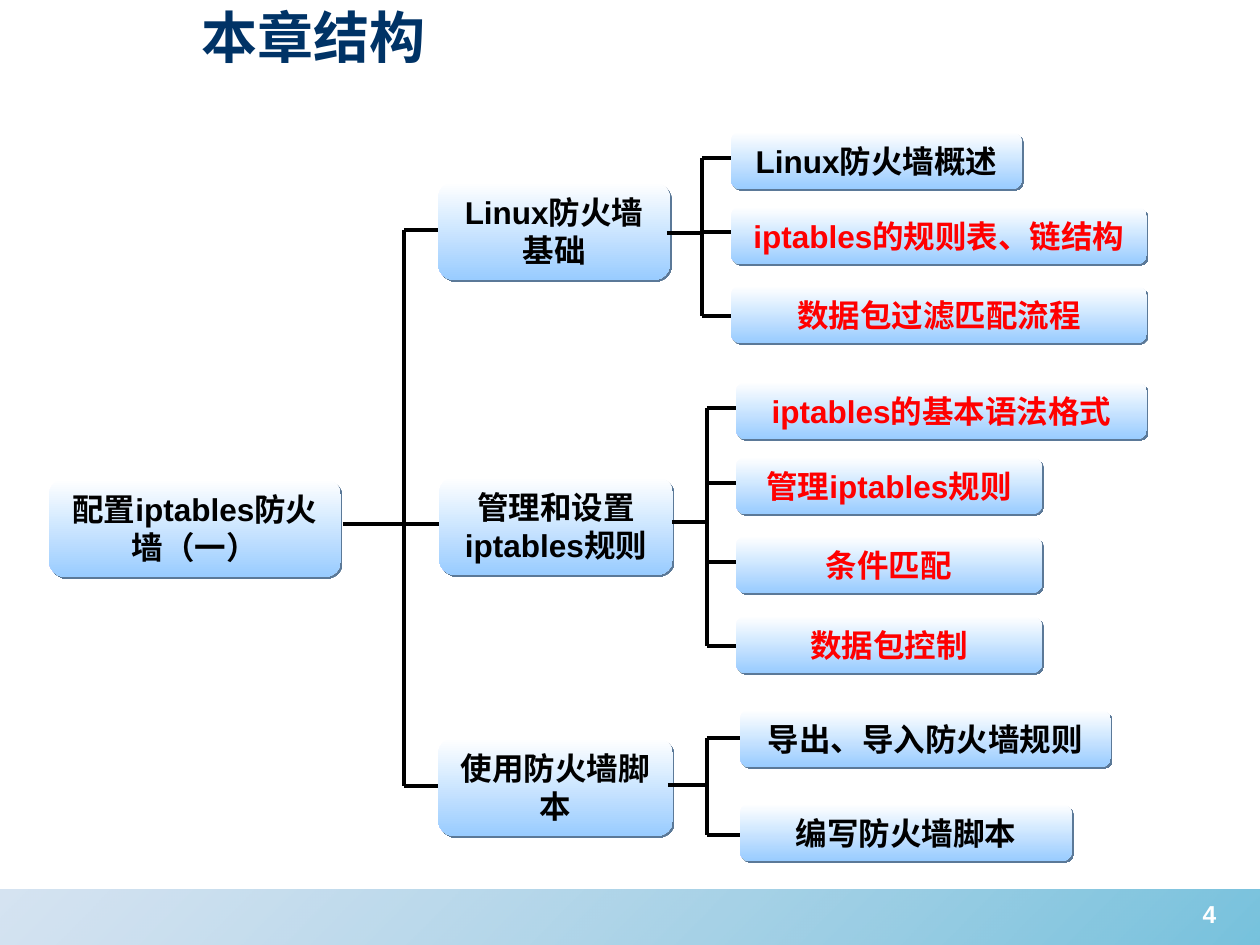
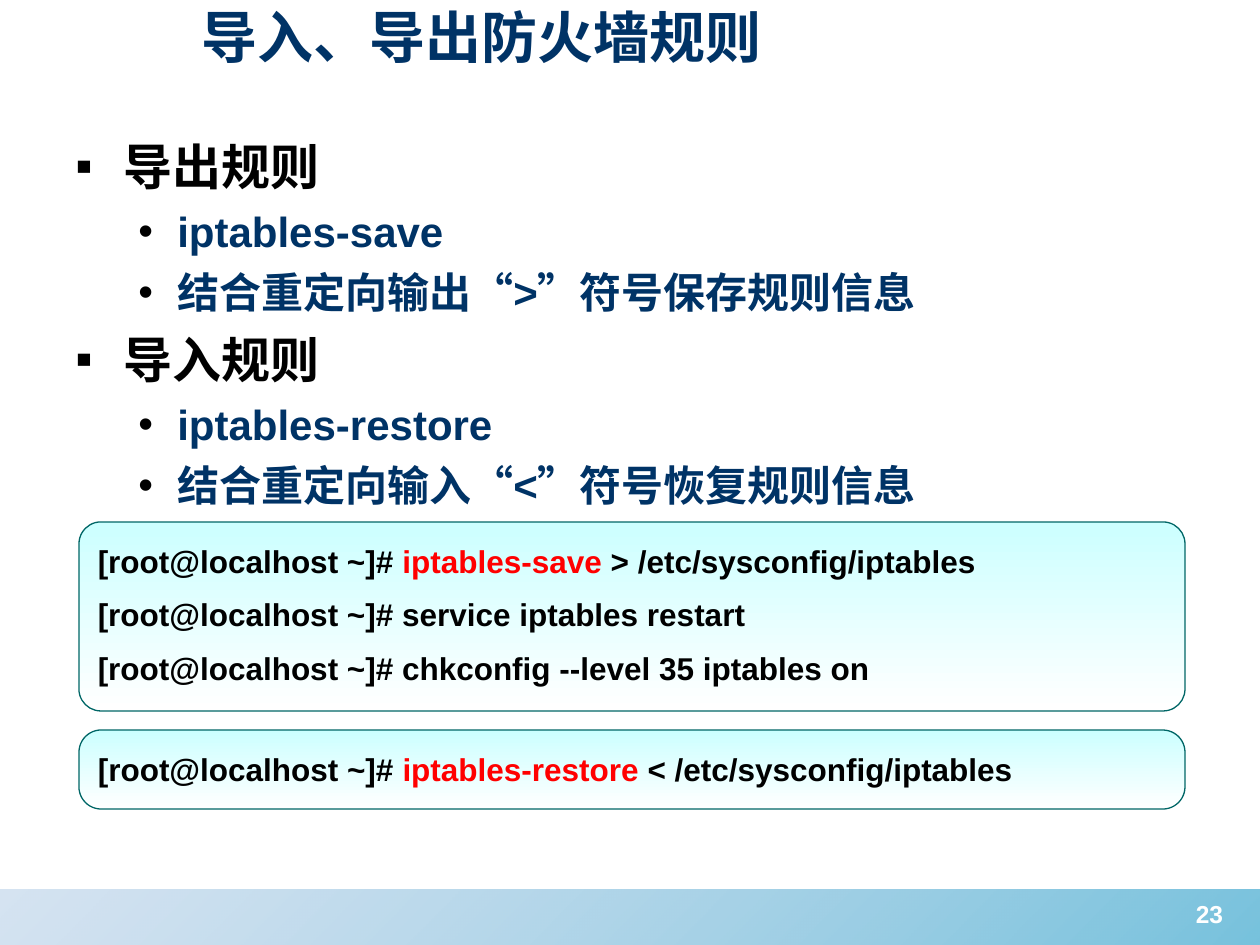
"""Build two slides about configuring a firewall with iptables."""
from lxml.etree import SubElement
from pptx import Presentation
from pptx.dml.color import RGBColor
from pptx.enum.shapes import MSO_CONNECTOR as CONNECTOR, MSO_SHAPE as SHAPE
from pptx.enum.text import MSO_ANCHOR as ANCHOR, PP_ALIGN as ALIGN
from pptx.oxml.ns import qn
from pptx.util import Pt

PX = 914400 / 126
FONT = "Arial"
COLORS = {
    "black": "000000", "white": "FFFFFF", "red": "FF0000", "navy": "003366",
    "sky": "99CCFF", "slate": "5B7998", "aqua": "CCFFFF", "teal": "006666",
    "band_right": "1C99C6", "band_left": "88B0D8",
}

STRUCTURE = {
    "title": "本章结构",
    "page": "4",
    "root": ("配置iptables防火墙（一）", (49, 479, 292, 98)),
    "trunk": {"stem": (343, 524), "spine": 404, "end": 440},
    "branches": [
        {"text": "Linux防火墙基础", "box": (438, 182, 232, 98), "tick": 230,
         "stem": (667, 233), "spine": 702, "leaf_left": 731,
         "leaves": [("Linux防火墙概述", "black", 132, 291, 158),
                    ("iptables的规则表、链结构", "red", 207, 416, 232),
                    ("数据包过滤匹配流程", "red", 286, 416, 316)]},
        {"text": "管理和设置iptables规则", "box": (439, 477, 234, 98), "tick": 524,
         "stem": (672, 522), "spine": 707, "leaf_left": 736,
         "leaves": [("iptables的基本语法格式", "red", 382, 411, 408),
                    ("管理iptables规则", "red", 457, 306, 483),
                    ("条件匹配", "red", 536, 306, 562),
                    ("数据包控制", "red", 616, 306, 646)]},
        {"text": "使用防火墙脚本", "box": (438, 738, 235, 98), "tick": 786,
         "stem": (668, 785), "spine": 707, "leaf_left": 740,
         "leaves": [("导出、导入防火墙规则", "black", 710, 371, 738),
                    ("编写防火墙脚本", "black", 804, 332, 835)]},
    ],
}
LEAF_HEIGHT = 57

PROMPT = "[root@localhost ~]# "
RULES = {
    "title": "导入、导出防火墙规则",
    "page": "23",
    "outline": [
        ("导出规则", ["iptables-save", "结合重定向输出“>”符号保存规则信息"]),
        ("导入规则", ["iptables-restore", "结合重定向输入“<”符号恢复规则信息"]),
    ],
    "consoles": [
        ((79, 522, 1106, 189), 0.116, [
            [(PROMPT, "black"), ("iptables-save", "red"),
             (" > /etc/sysconfig/iptables", "black")],
            [(PROMPT + "service iptables restart", "black")],
            [(PROMPT + "chkconfig --level 35 iptables on", "black")]]),
        ((79, 730, 1106, 79), 0.281, [
            [(PROMPT, "black"), ("iptables-restore", "red"),
             (" < /etc/sysconfig/iptables", "black")]]),
    ],
}
LEVELS = [
    {"size": 28, "color": "black", "bullet": "▪", "margin": 48, "hang": 48, "before": 7},
    {"size": 24, "color": "navy", "bullet": "•", "margin": 102, "hang": 39, "before": 6},
]


def px(*lengths):
    return [round(length * PX) for length in lengths]


def rgb(name):
    return RGBColor.from_string(COLORS[name])


def add_shadow(properties, color, distance, opacity=100, position=None):
    effects = SubElement(properties, qn("a:effectLst"))
    if position is not None:
        properties.insert(position, effects)
    shadow = SubElement(effects, qn("a:outerShdw"), dist=str(Pt(distance)),
                        dir="2700000", algn="ctr", rotWithShape="0")
    tone = SubElement(shadow, qn("a:srgbClr"), val=COLORS[color])
    SubElement(tone, qn("a:alpha"), val=str(opacity * 1000))


def add_bullet(paragraph, character, margin, hang):
    properties = paragraph._p.get_or_add_pPr()
    left, indent = px(margin, -hang)
    properties.set("marL", str(left))
    properties.set("indent", str(indent))
    color = SubElement(properties, qn("a:buClr"))
    SubElement(color, qn("a:srgbClr"), val=COLORS["black"])
    SubElement(properties, qn("a:buFont"), typeface=FONT)
    SubElement(properties, qn("a:buChar"), char=character)


def add_run(paragraph, text, size=18, color="black", shadow=False):
    run = paragraph.add_run()
    run.text = text
    font = run.font
    font.name, font.size, font.bold = FONT, Pt(size), True
    font.color.rgb = rgb(color)
    if shadow:
        add_shadow(run._r.get_or_add_rPr(), "black", 1.5, 25, position=1)


def prepare_frame(shape, anchor=ANCHOR.MIDDLE):
    frame = shape.text_frame
    frame.word_wrap = True
    frame.vertical_anchor = anchor
    return frame


def add_text(slide, box, text, align=ALIGN.LEFT, anchor=ANCHOR.TOP, **style):
    shape = slide.shapes.add_textbox(*px(*box))
    paragraph = prepare_frame(shape, anchor).paragraphs[0]
    paragraph.alignment = align
    add_run(paragraph, text, **style)


def add_gradient_shape(slide, kind, box, colors, angle=270):
    shape = slide.shapes.add_shape(kind, *px(*box))
    shape.shadow.inherit = False
    shape.line.fill.background()
    shape.fill.gradient()
    shape.fill.gradient_angle = angle
    for stop, color, position in zip(shape.fill.gradient_stops, colors, (0, 1)):
        stop.color.rgb = rgb(color)
        stop.position = position
    return shape


def add_node(slide, text, box, color="black"):
    shape = add_gradient_shape(slide, SHAPE.ROUNDED_RECTANGLE, box, ("white", "sky"))
    properties = shape._element.spPr
    properties.remove(properties.find(qn("a:effectLst")))
    add_shadow(properties, "slate", 1.4)
    paragraph = prepare_frame(shape).paragraphs[0]
    paragraph.alignment = ALIGN.CENTER
    add_run(paragraph, text, color=color)


def add_line(slide, *ends):
    line = slide.shapes.add_connector(CONNECTOR.STRAIGHT, *px(*ends))
    line.line.color.rgb = rgb("black")
    line.line.width = Pt(2.25)
    SubElement(line._element.spPr, qn("a:effectLst"))


def add_bracket(slide, stem, spine, end, ticks):
    left, middle = stem
    add_line(slide, left, middle, spine, middle)
    add_line(slide, spine, min(ticks), spine, max(ticks))
    for tick in ticks:
        add_line(slide, spine, tick, end, tick)


def add_base(presentation, content):
    slide = presentation.slides.add_slide(presentation.slide_layouts[6])
    band = add_gradient_shape(slide, SHAPE.RECTANGLE, (0, 890, 1260, 55),
                              ("band_right", "band_left"), angle=135)
    for tone, opacity in zip(band._element.spPr.iter(qn("a:srgbClr")), (60, 35)):
        SubElement(tone, qn("a:alpha"), val=str(opacity * 1000))
    add_text(slide, (189, -4, 1017, 81), content["title"],
             anchor=ANCHOR.MIDDLE, size=32, color="navy")
    add_text(slide, (1164, 893, 91, 66), content["page"],
             align=ALIGN.CENTER, size=14, color="white")
    return slide


def build_structure(presentation):
    slide = add_base(presentation, STRUCTURE)
    add_node(slide, *STRUCTURE["root"])
    branches = STRUCTURE["branches"]
    add_bracket(slide, ticks=[branch["tick"] for branch in branches],
                **STRUCTURE["trunk"])
    for branch in branches:
        add_node(slide, branch["text"], branch["box"])
        left = branch["leaf_left"]
        for text, color, top, width, _ in branch["leaves"]:
            add_node(slide, text, (left, top, width, LEAF_HEIGHT), color)
        add_bracket(slide, branch["stem"], branch["spine"], left,
                    [leaf[-1] for leaf in branch["leaves"]])


def add_outline(slide, outline):
    shape = slide.shapes.add_textbox(*px(63, 130, 1134, 699))
    frame = prepare_frame(shape, ANCHOR.TOP)
    rows = [(level, text) for heading, points in outline
            for level, text in [(0, heading)] + [(1, point) for point in points]]
    for index, (level, text) in enumerate(rows):
        style = LEVELS[level]
        paragraph = frame.add_paragraph() if index else frame.paragraphs[0]
        paragraph.level = level
        add_bullet(paragraph, style["bullet"], style["margin"], style["hang"])
        if index:
            paragraph.space_before = Pt(style["before"])
        add_run(paragraph, text, style["size"], style["color"], shadow=True)


def add_console(slide, box, rounding, lines):
    shape = add_gradient_shape(slide, SHAPE.ROUNDED_RECTANGLE, box, ("aqua", "white"))
    shape.adjustments[0] = rounding
    shape.line.color.rgb = rgb("teal")
    shape.line.width = Pt(0.75)
    frame = prepare_frame(shape, ANCHOR.TOP)
    for index, runs in enumerate(lines):
        paragraph = frame.add_paragraph() if index else frame.paragraphs[0]
        paragraph.alignment = ALIGN.LEFT
        paragraph.line_spacing = 1.2
        if index:
            paragraph.space_before = Pt(4.5)
        for text, color in runs:
            add_run(paragraph, text, color=color)


def build_rules(presentation):
    slide = add_base(presentation, RULES)
    add_outline(slide, RULES["outline"])
    for console in RULES["consoles"]:
        add_console(slide, *console)


def main():
    presentation = Presentation()
    presentation.slide_width, presentation.slide_height = px(1260, 945)
    build_structure(presentation)
    build_rules(presentation)
    presentation.save("out.pptx")


if __name__ == "__main__":
    main()
